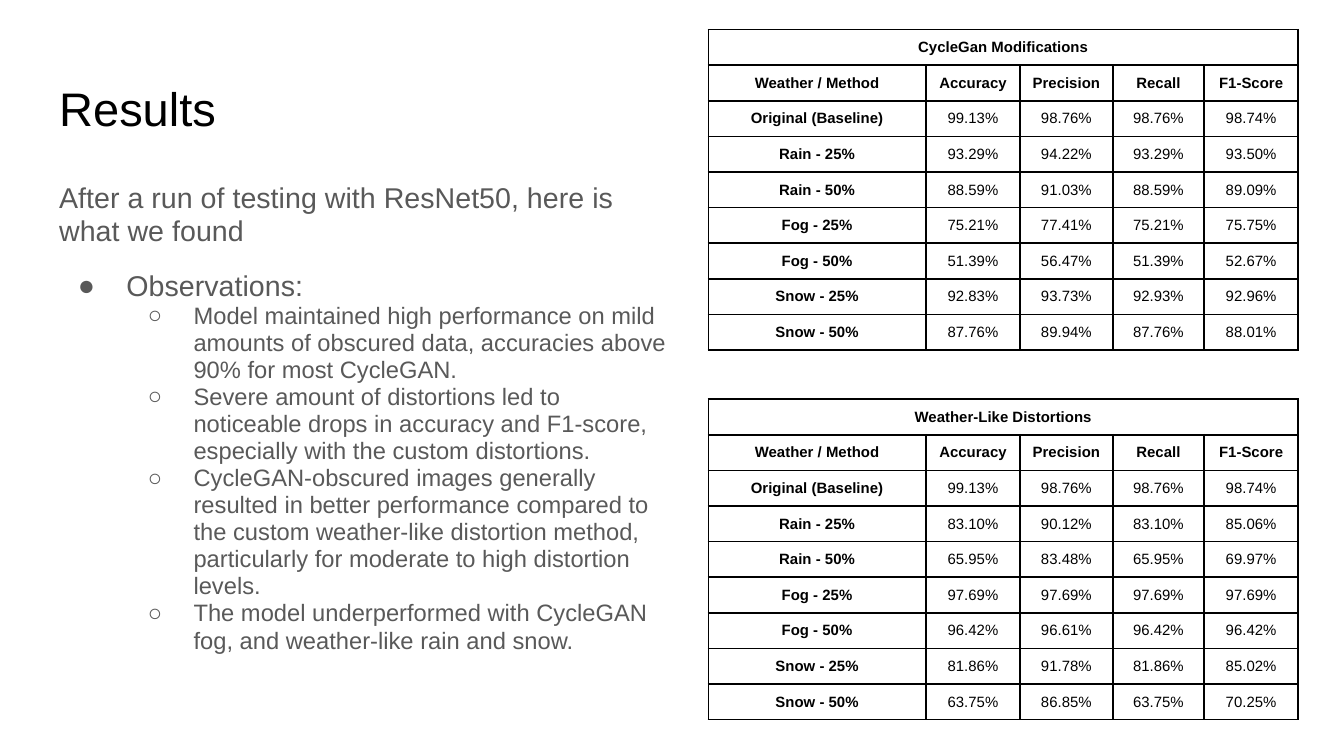
import pptx
import pptx.util
import pptx.dml.color
import pptx.enum.text
import pptx.oxml
from pptx.oxml import ns

Inches = pptx.util.Inches
Pt = pptx.util.Pt
ALIGN = pptx.enum.text.PP_ALIGN
ANCHOR = pptx.enum.text.MSO_ANCHOR

HEADS = ["Weather / Method", "Accuracy", "Precision", "Recall", "F1-Score"]
METHODS = ["Original (Baseline)", "Rain - 25%", "Rain - 50%", "Fog - 25%",
           "Fog - 50%", "Snow - 25%", "Snow - 50%"]
CYCLE = [
    (99.13, 98.76, 98.76, 98.74),
    (93.29, 94.22, 93.29, 93.50),
    (88.59, 91.03, 88.59, 89.09),
    (75.21, 77.41, 75.21, 75.75),
    (51.39, 56.47, 51.39, 52.67),
    (92.83, 93.73, 92.93, 92.96),
    (87.76, 89.94, 87.76, 88.01),
]
CUSTOM = [
    (99.13, 98.76, 98.76, 98.74),
    (83.10, 90.12, 83.10, 85.06),
    (65.95, 83.48, 65.95, 69.97),
    (97.69, 97.69, 97.69, 97.69),
    (96.42, 96.61, 96.42, 96.42),
    (81.86, 91.78, 81.86, 85.02),
    (63.75, 86.85, 63.75, 70.25),
]
INTRO = "After a run of testing with ResNet50, here is what we found"
NOTES = [
    "Model maintained high performance on mild amounts of obscured data, "
    "accuracies above 90% for most CycleGAN.",
    "Severe amount of distortions led to noticeable drops in accuracy and "
    "F1-score, especially with the custom distortions.",
    "CycleGAN-obscured images generally resulted in better performance "
    "compared to the custom weather-like distortion method, particularly "
    "for moderate to high distortion levels.",
    "The model underperformed with CycleGAN fog, and weather-like rain "
    "and snow.",
]


def color(code):
    return pptx.dml.color.RGBColor.from_string(code)


def write(para, text, size=8, tint="000000", bold=False, align=ALIGN.LEFT,
          before=0, line=1.0):
    para.alignment = align
    para.space_before = Pt(before)
    para.space_after = Pt(0)
    para.line_spacing = line
    run = para.add_run()
    run.text = text
    font = run.font
    font.name = "Arial"
    font.size = Pt(size)
    font.bold = bold
    font.color.rgb = color(tint)


def bullet(para, mark, tint, left, hang):
    """Set the indent and mark of a paragraph; no mark turns bullets off."""
    props = para._p.get_or_add_pPr()
    props.set("marL", str(Inches(left)))
    props.set("indent", str(-Inches(hang)))
    tags = ["<a:buNone {0}/>"]
    if mark:
        tags = [f'<a:buClr {{0}}><a:srgbClr val="{tint}"/></a:buClr>',
                '<a:buFont {0} typeface="Arial"/>',
                f'<a:buChar {{0}} char="{mark}"/>']
    for tag in tags:
        props.append(pptx.oxml.parse_xml(tag.format(ns.nsdecls("a"))))


def border(cell):
    props = cell._tc.get_or_add_tcPr()
    for i, side in enumerate("LRTB"):
        props.insert(i, pptx.oxml.parse_xml(
            f'<a:ln{side} {ns.nsdecls("a")} w="{Pt(1)}"><a:solidFill>'
            f'<a:srgbClr val="000000"/></a:solidFill></a:ln{side}>'))


class Deck:
    ink = "000000"
    gray = "595959"

    def __init__(self):
        self.show = pptx.Presentation()
        self.show.slide_width = Inches(10)
        self.show.slide_height = Inches(10 * 9 / 16)
        self.slide = self.show.slides.add_slide(self.show.slide_layouts[1])

    def place(self, index, left, top, width, height):
        """Move a placeholder and return its text frame."""
        box = self.slide.placeholders[index]
        box.left, box.top = Inches(left), Inches(top)
        box.width, box.height = Inches(width), Inches(height)
        frame = box.text_frame
        frame.word_wrap = True
        frame.auto_size = pptx.enum.text.MSO_AUTO_SIZE.NONE
        frame.vertical_anchor = ANCHOR.TOP
        frame.margin_left = frame.margin_right = Inches(0.1)
        frame.margin_top = frame.margin_bottom = Inches(0.1)
        return frame

    def title(self, text):
        frame = self.place(0, 0.34, 0.49, 9.32, 0.63)
        write(frame.paragraphs[0], text, size=25.2, tint=self.ink)

    def body(self, intro, head, notes):
        frame = self.place(1, 0.34, 1.26, 4.73, 3.74)
        items = [(intro, 0, "", 15.3, 0, 0, 0),
                 (head, 0, "●", 15.3, 12, 0.5, 0.36)]
        items += [(note, 1, "○", 12.7, 0, 1, 0.34) for note in notes]
        for i, (text, level, mark, size, gap, left, hang) in enumerate(items):
            para = frame.add_paragraph() if i else frame.paragraphs[0]
            para.level = level
            write(para, text, size=size, tint=self.gray, before=gap, line=0.95)
            bullet(para, mark, self.gray, left, hang)

    def table(self, top, name, scores):
        rows = [[name] + [""] * 4, HEADS]
        rows += [[method] + [f"{score:.2f}%" for score in line]
                 for method, line in zip(METHODS, scores)]
        widths = [1.62, 0.7, 0.69, 0.68, 0.7]
        high = 0.26
        grid = self.slide.shapes.add_table(
            len(rows), len(widths), Inches(5.27), Inches(top),
            Inches(sum(widths)), Inches(high * len(rows))).table
        grid.first_row = grid.horz_banding = False
        for col, width in zip(grid.columns, widths):
            col.width = Inches(width)
        for r, row in enumerate(rows):
            grid.rows[r].height = Inches(high)
            for c, text in enumerate(row):
                cell = grid.cell(r, c)
                cell.margin_left = cell.margin_right = Inches(0.07)
                cell.margin_top = cell.margin_bottom = Inches(0.07)
                cell.fill.background()
                border(cell)
                if text:
                    write(cell.text_frame.paragraphs[0], text, tint=self.ink,
                          bold=r < 2 or c == 0, align=ALIGN.CENTER)
        grid.cell(0, 0).merge(grid.cell(0, len(widths) - 1))


def main():
    deck = Deck()
    deck.title("Results")
    deck.body(INTRO, "Observations:", NOTES)
    deck.table(2.97, "Weather-Like Distortions", CUSTOM)
    deck.table(0.22, "CycleGan Modifications", CYCLE)
    deck.show.save("out.pptx")


if __name__ == "__main__":
    main()
